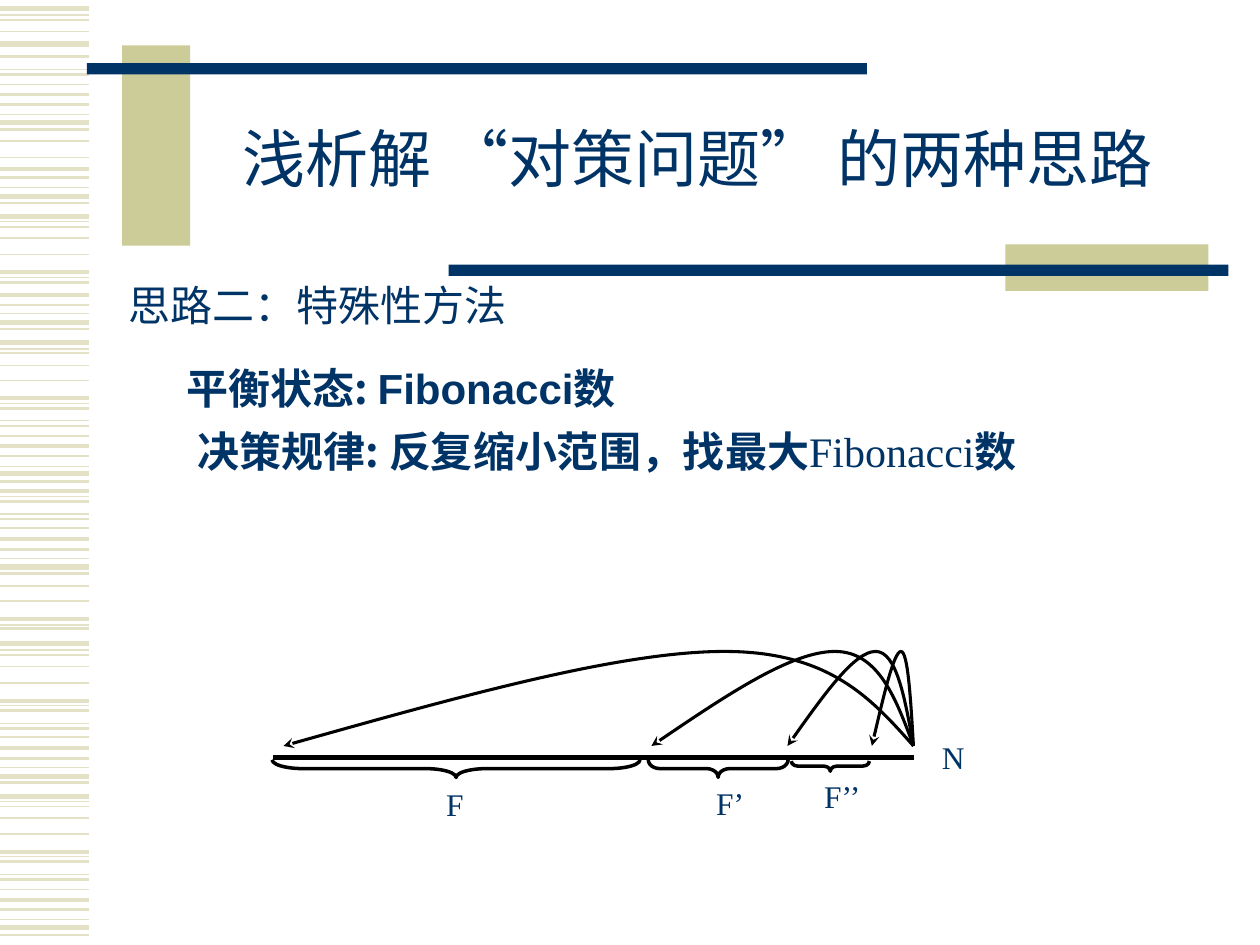
from lxml import etree
from pptx import Presentation
from pptx.dml.color import RGBColor
from pptx.enum.shapes import MSO_CONNECTOR, MSO_SHAPE
from pptx.enum.text import MSO_ANCHOR, MSO_AUTO_SIZE, PP_ALIGN
from pptx.oxml.ns import qn
from pptx.util import Inches, Pt

NAVY = RGBColor(0x00, 0x33, 0x66)
KHAKI = RGBColor(0xCC, 0xCC, 0x99)
STRIPE = RGBColor(0xE3, 0xE2, 0xC7)
BLACK = RGBColor(0x00, 0x00, 0x00)
SERIF, SANS, CJK = "Times New Roman", "Arial", "Noto Sans CJK SC"

deck = Presentation()
deck.slide_width, deck.slide_height = Inches(10), Inches(7.5)
shapes = deck.slides.add_slide(deck.slide_layouts[6]).shapes


def add_line(x1, x2, y, color, weight):
    line = shapes.add_connector(
        MSO_CONNECTOR.STRAIGHT, Inches(x1), Inches(y), Inches(x2), Inches(y))
    line.line.color.rgb = color
    line.line.width = Pt(weight)
    etree.SubElement(line._element.spPr, qn("a:effectLst"))


def add_text(left, top, width, height, size, runs, align=PP_ALIGN.LEFT):
    """Add a one-paragraph box; each run is (text, font name, bold)."""
    box = shapes.add_textbox(Inches(left), Inches(top), Inches(width), Inches(height))
    frame = box.text_frame
    frame.word_wrap = True
    frame.auto_size = MSO_AUTO_SIZE.SHAPE_TO_FIT_TEXT
    para = frame.paragraphs[0]
    para.alignment = align
    for text, font_name, bold in runs:
        span = para.add_run()
        span.text = text
        span.font.name = font_name
        span.font.size = Pt(size)
        span.font.bold = bold
        span.font.color.rgb = NAVY
        east_asian = etree.SubElement(span._r.get_or_add_rPr(), qn("a:ea"))
        east_asian.set("typeface", CJK)
    return box


# Striped left margin: heights of the stripes by line weight
stripes = {
    0.75: [0.12, 0.55, 0.91, 1.49, 1.76, 2.2, 2.49, 2.77, 3.2, 3.34, 3.7, 3.94, 4.08,
           4.43, 4.96, 5.16, 5.6, 5.74, 6.09, 6.36, 6.8, 6.94, 7.3],
    1: [0.16, 0.25, 0.67, 1.12, 1.25, 1.8, 1.89, 2.02, 2.8, 2.9, 3.02, 3.46, 4.19,
        4.65, 4.77, 5.2, 5.29, 5.42, 5.85, 6.4, 6.49, 6.62, 7.06],
    1.5: [0.45, 0.59, 0.83, 1.03, 1.41, 1.61, 2.24, 2.42, 2.61, 3.24, 3.38, 3.62, 3.82,
          3.98, 4.12, 4.36, 4.55, 4.99, 5.64, 5.78, 6.02, 6.21, 6.84, 6.98, 7.22, 7.42],
    2.25: [0.75, 1.34, 2.16, 2.34, 3.16, 3.54, 3.9, 4.28, 4.91, 5.56, 5.94, 6.76, 7.14],
    3: [0.07, 0.35, 0.97, 1.56, 1.72, 2.56, 2.72, 3.76, 4.5, 5.11, 6.16, 6.32, 7.36],
}
for weight, heights in stripes.items():
    for y in heights:
        add_line(0, 0.71, y, STRIPE, weight)

# Bars around the title
for left, top, width, height, color in [
    (0.97, 0.36, 0.54, 1.59, KHAKI),
    (0.69, 0.5, 6.19, 0.09, NAVY),
    (7.98, 1.94, 1.61, 0.37, KHAKI),
    (3.56, 2.1, 6.19, 0.09, NAVY),
]:
    bar = shapes.add_shape(
        MSO_SHAPE.RECTANGLE, Inches(left), Inches(top), Inches(width), Inches(height))
    bar.shadow.inherit = False
    bar.fill.solid()
    bar.fill.fore_color.rgb = color
    bar.line.fill.background()

# Title and text
title = add_text(1.5, 0.67, 8.07, 1.25, 36,
                 [("浅析解 “对策问题” 的两种思路", SERIF, False)], PP_ALIGN.CENTER)
title.text_frame.auto_size = MSO_AUTO_SIZE.NONE
title.text_frame.vertical_anchor = MSO_ANCHOR.MIDDLE
title.text_frame.paragraphs[0].line_spacing = 0.85

add_text(0.92, 2.17, 6.42, 0.5, 24, [("思路二：特殊性方法", SERIF, False)])
balance = add_text(1.08, 2.83, 7.92, 0.5, 24, [
    ("平衡状态: ", CJK, True), ("Fibonacci", SANS, True), ("数", CJK, True)])
balance.text_frame.margin_left = Inches(0.4)
decision = add_text(1.25, 3.33, 7.75, 0.5, 24, [
    ("决策规律: 反复缩小范围，找最大", CJK, True), ("Fibonacci", SERIF, False),
    ("数", CJK, True)])
decision.text_frame.margin_left = Inches(0.32)

# Number line up to N, with a brace under each Fibonacci part
add_line(2.17, 7.25, 6.01, BLACK, 2.75)
for center_x, center_y, length, depth in [
    (3.62, 6.1, 2.92, 0.14),
    (5.7, 6.1, 1.11, 0.14),
    (6.59, 6.08, 0.62, 0.08),
]:
    brace = shapes.add_shape(
        MSO_SHAPE.LEFT_BRACE, Inches(center_x - depth / 2), Inches(center_y - length / 2),
        Inches(depth), Inches(length))
    brace.rotation = 270
    brace.adjustments[0] = length / 12 / depth
    brace.shadow.inherit = False
    brace.fill.background()
    brace.line.color.rgb = BLACK
    brace.line.width = Pt(2)

for label, left, top, width in [
    ("F", 3.32, 6.18, 0.58), ("F’", 5.42, 6.17, 0.75),
    ("F’’", 6.31, 6.12, 0.75), ("N", 7.19, 5.81, 0.75),
]:
    add_text(left, top, width, 0.4, 18, [(label, SERIF, False)], PP_ALIGN.CENTER)

# Arched arrows from N back to the start of each remaining part
START_X, BASE_Y, PEAK_Y = 7.25, 5.92, 5.17
MIDDLE_Y = (BASE_Y + PEAK_Y) / 2
for end_x in (2.25, 5.17, 6.25, 6.92):
    span_x = START_X - end_x
    steps = [(1 / 15, MIDDLE_Y), (2 / 15, PEAK_Y), (0.3, PEAK_Y),
             (7 / 15, PEAK_Y), (11 / 15, MIDDLE_Y), (1, BASE_Y)]
    builder = shapes.build_freeform(Inches(START_X), Inches(BASE_Y))
    builder.add_line_segments(
        [(Inches(START_X - span_x * share), Inches(y)) for share, y in steps], close=False)
    arch = builder.convert_to_shape()
    # Each three points become the control points and end of one Bézier curve
    segments = list(arch._element.iter(qn("a:lnTo")))
    outline = segments[0].getparent()
    for first in (0, 3):
        curve = etree.SubElement(outline, qn("a:cubicBezTo"))
        for segment in segments[first:first + 3]:
            curve.append(segment[0])
            outline.remove(segment)
    arch.shadow.inherit = False
    arch.fill.background()
    arch.line.color.rgb = BLACK
    arch.line.width = Pt(1.75)
    etree.SubElement(arch.line._get_or_add_ln(), qn("a:tailEnd")).set("type", "stealth")

deck.save("out.pptx")
